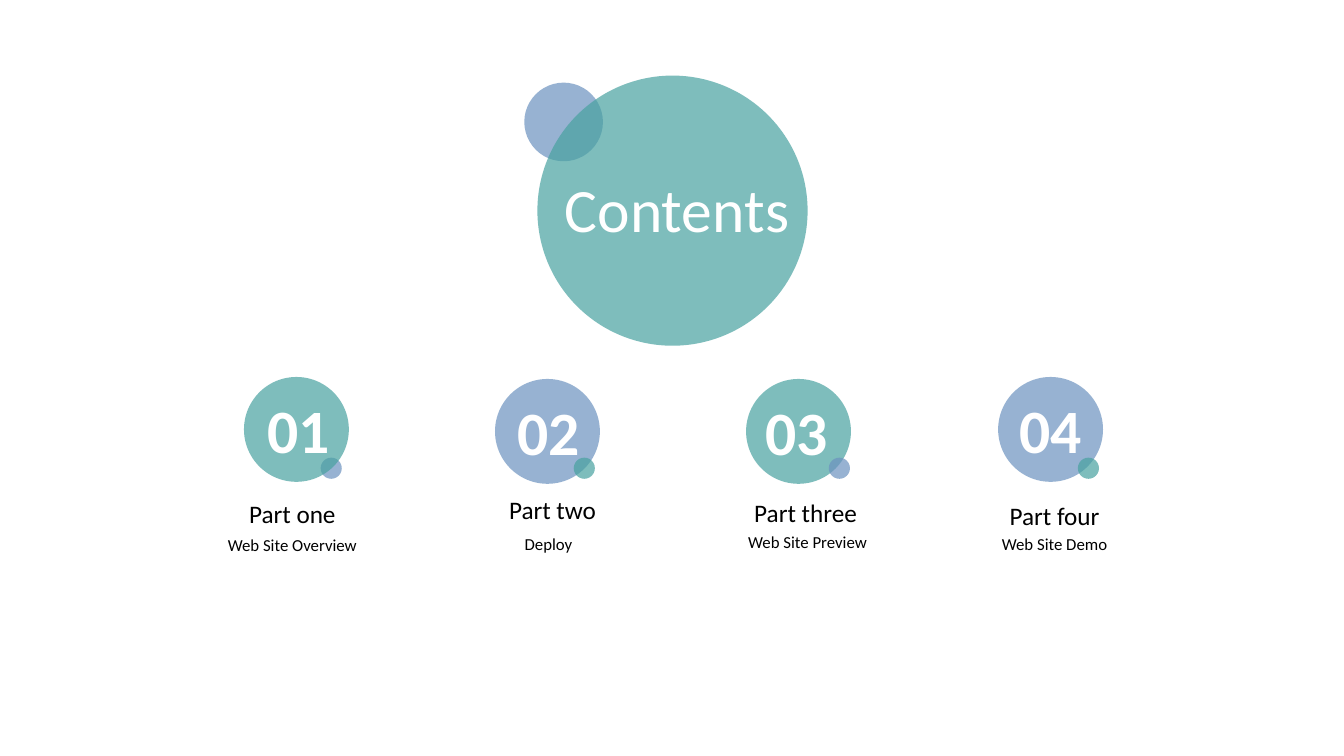
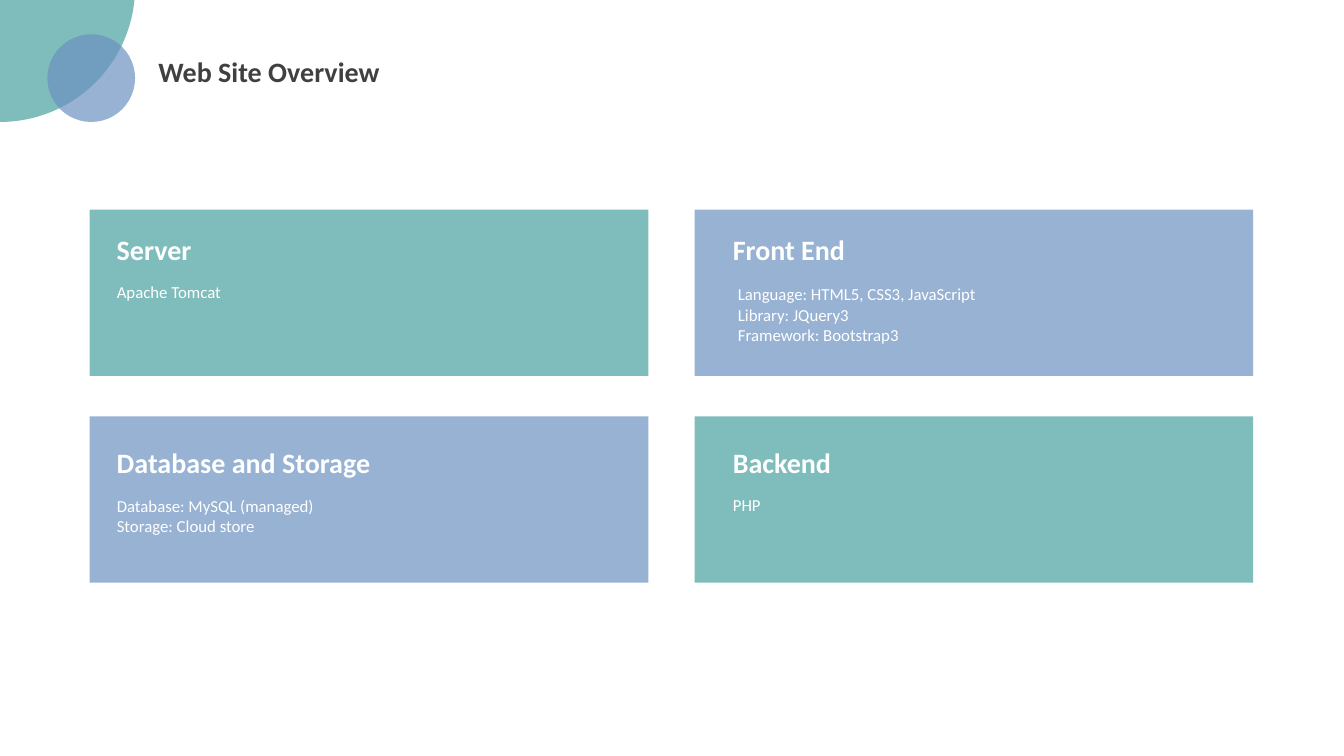
from dataclasses import dataclass

from pptx import Presentation
from pptx.dml.color import RGBColor
from pptx.enum.shapes import MSO_SHAPE as Shape
from pptx.enum.text import MSO_ANCHOR as Anchor, MSO_AUTO_SIZE as AutoSize, PP_ALIGN as Align
from pptx.oxml.ns import qn
from pptx.util import Emu, Pt

# Shared look
TEAL = RGBColor(0x48, 0xA2, 0xA0)
BLUE = RGBColor(0x6C, 0x92, 0xC0)
WHITE = RGBColor(0xFF, 0xFF, 0xFF)
BLACK = RGBColor(0x00, 0x00, 0x00)
DARK = RGBColor(0x40, 0x40, 0x40)
FONT = "Calibri"
OPACITY = 70
TITLE_ONLY = 5
EMU_PER_PX = 9144  # 100 px to the inch


@dataclass
class Part:
    name: str
    topic: str
    circle_top: int
    number_left: int
    dot_left: int
    name_box: tuple
    topic_at: tuple
    dot_behind: bool = False


@dataclass
class Card:
    heading: str
    lines: list
    body_at: tuple


PARTS = [
    Part("Part one", "Web Site Overview", 374, 254, 318, (235, 489, 110), (180, 526), True),
    Part("Part two", "Deploy", 376, 502, 569, (494, 486, 108), (434, 525)),
    Part("Part three", "Web Site Preview", 376, 748, 822, (737, 488, 124), (691, 523)),
    Part("Part four", "Web Site Demo", 374, 1000, 1069, (990, 491, 112), (936, 525)),
]

CARDS = [
    Card("Server", ["Apache Tomcat"], (106, 275)),
    Card("Front End", ["Language: HTML5, CSS3, JavaScript", "Library: JQuery3",
                       "Framework: Bootstrap3"], (722, 277)),
    Card("Database and Storage", ["Database: MySQL (managed)",
                                  "Storage: Cloud store"], (106, 487)),
    Card("Backend", ["PHP"], (717, 486)),
]


def px(*lengths):
    return [Emu(length * EMU_PER_PX) for length in lengths]


def add_block(page, kind, left, top, width, height, color):
    """Add a borderless, see-through shape."""
    block = page.shapes.add_shape(kind, *px(left, top, width, height))
    block.shadow.inherit = False
    block.fill.solid()
    block.fill.fore_color.rgb = color
    block.line.fill.background()
    fill_color = block.element.spPr.find(qn("a:solidFill")).find(qn("a:srgbClr"))
    alpha = fill_color.makeelement(qn("a:alpha"), {"val": str(OPACITY * 1000)})
    fill_color.append(alpha)


def add_circle(page, left, top, size, color):
    add_block(page, Shape.OVAL, left, top, size, size, color)


def write(box, lines, size, color, bold=False, align=Align.LEFT, wrap=False, anchor=Anchor.TOP):
    frame = box.text_frame
    frame.auto_size = AutoSize.NONE
    frame.word_wrap = wrap
    frame.vertical_anchor = anchor
    for index, line in enumerate(lines):
        para = frame.add_paragraph() if index else frame.paragraphs[0]
        para.alignment = align
        span = para.add_run()
        span.text = line
        span.font.name = FONT
        span.font.size = Pt(size)
        span.font.bold = bold
        span.font.color.rgb = color


def add_text(page, at, lines, size, color, **style):
    box = page.shapes.add_textbox(*px(*at))
    write(box, lines, size, color, **style)


def set_title(page, at, text, size, color, **style):
    """Place the title placeholder in front of everything drawn so far."""
    title = page.shapes.title
    title.left, title.top, title.width, title.height = px(*at)
    write(title, [text], size, color, anchor=Anchor.MIDDLE, **style)
    title.element.getparent().append(title.element)


def add_part(page, index, part):
    main, accent = (BLUE, TEAL) if index % 2 else (TEAL, BLUE)
    circle = (242 + index * 748 // 3, part.circle_top, 104, main)
    dot = (part.dot_left, 454, 21, accent)
    for disc in ((dot, circle) if part.dot_behind else (circle, dot)):
        add_circle(page, *disc)
    add_text(page, (part.number_left, part.circle_top + 10, 84, 84), [f"{index + 1:02}"],
             44, WHITE, bold=True, align=Align.CENTER)
    add_text(page, (*part.name_box, 40), [part.name], 18, BLACK, align=Align.CENTER)
    add_text(page, (*part.topic_at, 220, 30), [part.topic], 12, BLACK,
             align=Align.CENTER, wrap=True)


def add_card(page, index, card):
    row, column = divmod(index, 2)
    color = TEAL if row == column else BLUE
    add_block(page, Shape.RECTANGLE, 89 + 600 * column, 208 + 205 * row, 554, 165, color)
    add_text(page, (106 + 611 * column, 226 + 211 * row, 274, 44), [card.heading],
             20, WHITE, bold=True, wrap=True)
    add_text(page, (*card.body_at, 489, 20 * len(card.lines) + 10), card.lines,
             12, WHITE, wrap=True)


def build_contents(deck):
    page = deck.slides.add_slide(deck.slide_layouts[TITLE_ONLY])
    # Heading circles
    add_circle(page, 520, 82, 78, BLUE)
    add_circle(page, 533, 75, 268, TEAL)
    # Numbered parts
    for index, part in enumerate(PARTS):
        add_part(page, index, part)
    set_title(page, (455, 160, 433, 93), "Contents", 44, WHITE,
              align=Align.CENTER, wrap=True)


def build_overview(deck):
    page = deck.slides.add_slide(deck.slide_layouts[TITLE_ONLY])
    # Two by two cards
    for index, card in enumerate(CARDS):
        add_card(page, index, card)
    # Corner circles and title
    add_circle(page, -134, -147, 268, TEAL)
    add_circle(page, 47, 34, 87, BLUE)
    set_title(page, (147, 49, 242, 44), "Web Site Overview", 20, DARK, bold=True)


def main():
    deck = Presentation()
    deck.slide_width, deck.slide_height = px(1333, 750)
    build_contents(deck)
    build_overview(deck)
    deck.save("out.pptx")


if __name__ == "__main__":
    main()
